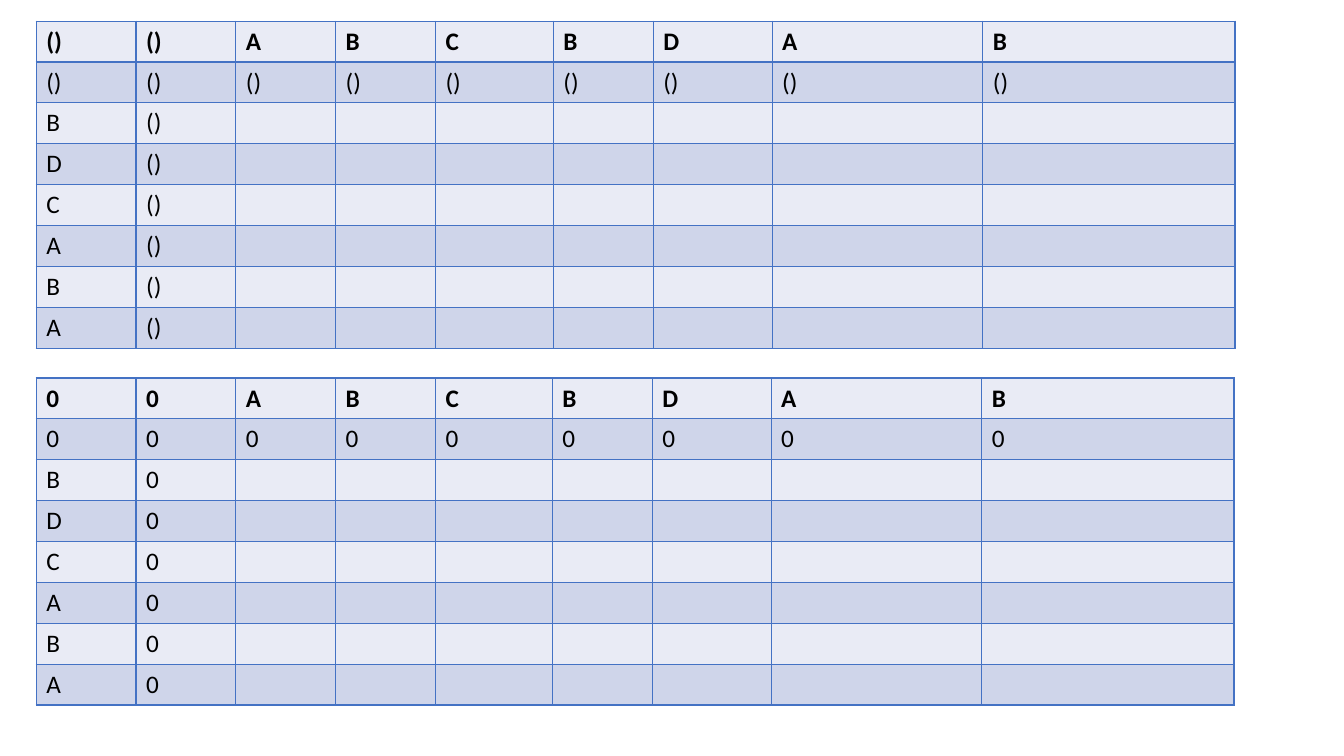
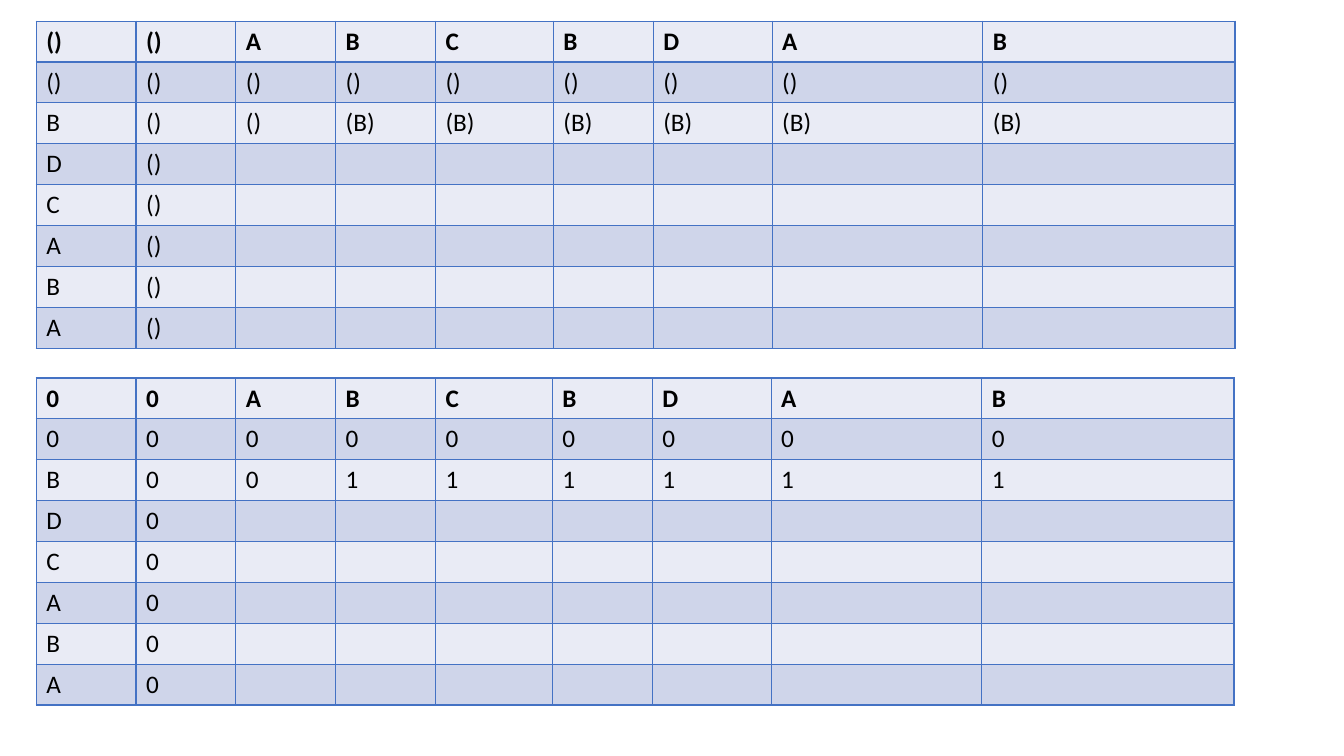
from lxml.etree import SubElement
from pptx import Presentation
from pptx.dml.color import RGBColor
from pptx.oxml.ns import qn
from pptx.util import Inches, Pt

# Shared look
WIDE, HIGH = 13.33, 7.5
LEFT = 0.36
FONT, SIZE = "Calibri", 18
INK, EDGE = "000000", "4472C4"
BANDS = ("E9EBF5", "CFD5EA")

# Grid: both tables share all columns but the fifth
UNIT = 0.99
TAIL = [UNIT, 1.18, 2.09, 2.5]
ROW = 3.24 / 8

# The two strings being compared
ACROSS, DOWN = "ABCBDAB", "BDCABA"


def tint(code):
    return RGBColor.from_string(code)


def frame(cell):
    """Draw a thin line on all four sides of a cell."""
    props = cell._tc.get_or_add_tcPr()
    for side in ("a:lnL", "a:lnR", "a:lnT", "a:lnB"):
        line = SubElement(props, qn(side), w=str(Pt(1)))
        fill = SubElement(line, qn("a:solidFill"))
        SubElement(fill, qn("a:srgbClr"), val=EDGE)


def write(cell, text, bold):
    run = cell.text_frame.paragraphs[0].add_run()
    run.text = text
    run.font.name = FONT
    run.font.size = Pt(SIZE)
    run.font.bold = bold
    run.font.color.rgb = tint(INK)


def fill_rows(zero, solved):
    """Heading, base row, then one row per letter with any solved values."""
    rows = [[zero, zero, *ACROSS], [zero] * (len(ACROSS) + 2)]
    for i, mark in enumerate(DOWN):
        vals = solved[i] if i < len(solved) else [""] * len(ACROSS)
        rows.append([mark, zero, *vals])
    return rows


def add_grid(slide, top, fifth, rows):
    cols = [UNIT] * 4 + [fifth] + TAIL
    table = slide.shapes.add_table(
        len(rows), len(cols), Inches(LEFT), Inches(top),
        Inches(sum(cols)), Inches(ROW * len(rows))).table
    table.first_row = table.horz_banding = False
    for col, width in zip(table.columns, cols):
        col.width = Inches(width)
    for r, texts in enumerate(rows):
        table.rows[r].height = Inches(ROW)
        for c, text in enumerate(texts):
            cell = table.cell(r, c)
            frame(cell)
            cell.fill.solid()
            cell.fill.fore_color.rgb = tint(BANDS[r % 2])
            if text:
                write(cell, text, r == 0)


def add_step(deck, words, counts):
    """One slide: subsequences above, their lengths below."""
    slide = deck.slides.add_slide(deck.slide_layouts[6])
    add_grid(slide, 0.21, 1.17, fill_rows("()", words))
    add_grid(slide, 3.75, 1.16, fill_rows("0", counts))


def main():
    deck = Presentation()
    deck.slide_width, deck.slide_height = Inches(WIDE), Inches(HIGH)
    add_step(deck, [], [])
    add_step(deck, [["()"] + ["(B)"] * 6], [["0"] + ["1"] * 6])
    deck.save("out.pptx")


if __name__ == "__main__":
    main()
